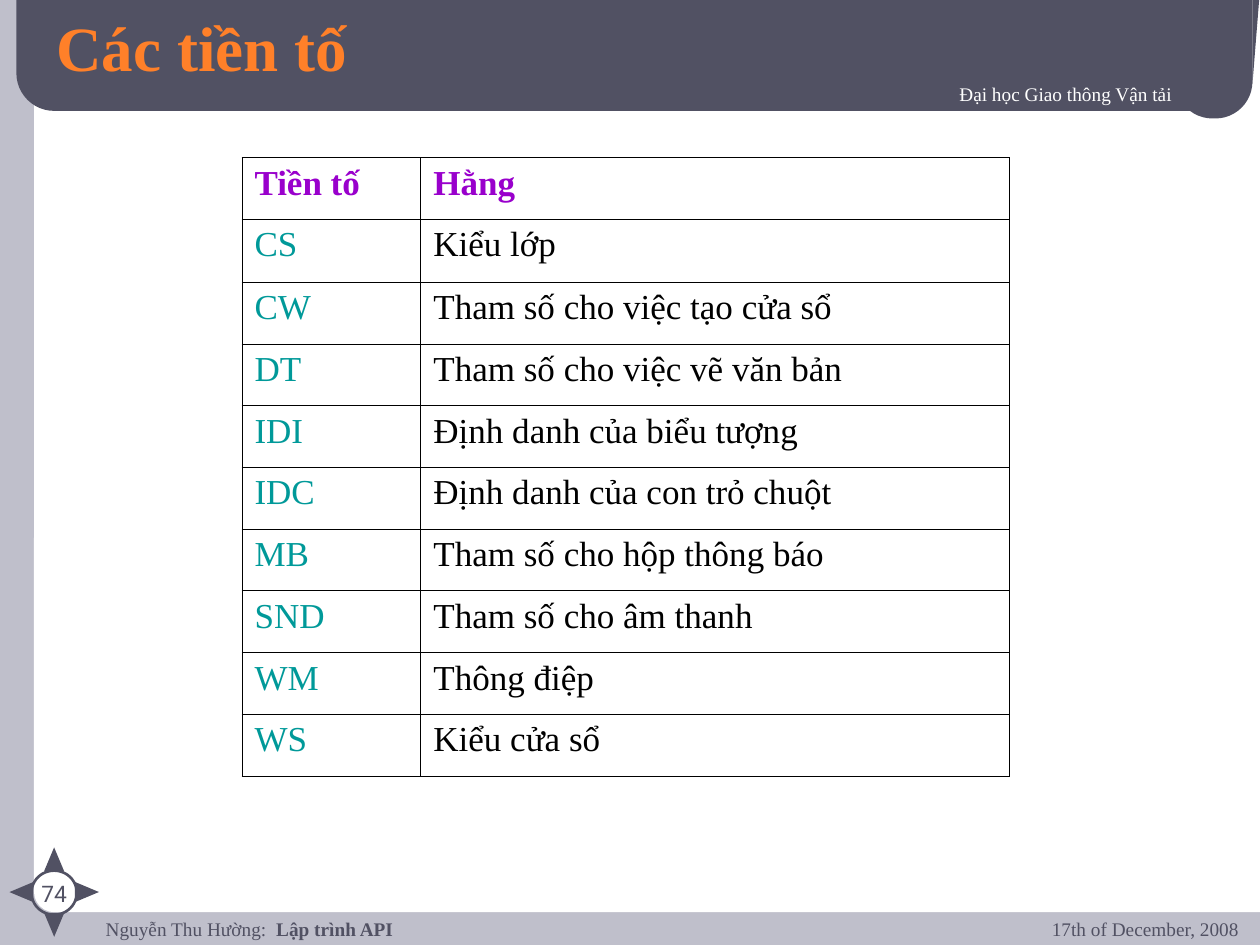
from dataclasses import dataclass

from lxml import etree
from pptx import Presentation
from pptx.dml.color import RGBColor
from pptx.enum.shapes import MSO_SHAPE
from pptx.enum.text import MSO_ANCHOR, PP_ALIGN
from pptx.oxml.ns import qn
from pptx.util import Inches, Pt

ROUNDED = MSO_SHAPE.ROUNDED_RECTANGLE
RIGHT_TRIANGLE = MSO_SHAPE.RIGHT_TRIANGLE
TRIANGLE = MSO_SHAPE.ISOSCELES_TRIANGLE
OVAL = MSO_SHAPE.OVAL
LEFT, CENTER, RIGHT = PP_ALIGN.LEFT, PP_ALIGN.CENTER, PP_ALIGN.RIGHT
TOP, MIDDLE = MSO_ANCHOR.TOP, MSO_ANCHOR.MIDDLE


@dataclass(frozen=True)
class Theme:
    serif: str = "Times New Roman"
    sans: str = "Roboto"
    backdrop: str = "BFBFCB"
    panel: str = "FFFFFF"
    dark: str = "515163"
    light: str = "FFFFFF"
    accent: str = "FF8029"
    heading: str = "9900CC"
    prefix: str = "009999"
    ink: str = "000000"
    title_size: float = 36
    table_size: float = 20
    number_size: float = 13
    small_size: float = 11
    ring_width: float = 1.5
    border_width: float = 0.45


THEME = Theme()

ROWS = [
    ("Tiền tố", "Hằng"),
    ("CS", "Kiểu lớp"),
    ("CW", "Tham số cho việc tạo cửa sổ"),
    ("DT", "Tham số cho việc vẽ văn bản"),
    ("IDI", "Định danh của biểu tượng"),
    ("IDC", "Định danh của con trỏ chuột"),
    ("MB", "Tham số cho hộp thông báo"),
    ("SND", "Tham số cho âm thanh"),
    ("WM", "Thông điệp"),
    ("WS", "Kiểu cửa sổ"),
]


def rgb(value):
    return RGBColor.from_string(value)


def inches(values):
    return [Inches(value) for value in values]


def add_solid(page, kind, place, color, corner=None, turn=0):
    """A filled preset shape without outline."""
    shape = page.shapes.add_shape(kind, *inches(place))
    shape.shadow.inherit = False
    shape.fill.solid()
    shape.fill.fore_color.rgb = rgb(color)
    shape.line.fill.background()
    shape.rotation = turn
    if corner is not None:
        shape.adjustments[0] = corner
    return shape


def add_text_shadow(span):
    """A small dark shadow below and to the right of the letters."""
    effects = etree.SubElement(span.font._element, qn("a:effectLst"))
    shadow = etree.SubElement(effects, qn("a:outerShdw"), dist="17961", dir="2700000")
    etree.SubElement(shadow, qn("a:srgbClr"), val=THEME.ink)
    # Effects must stand directly after the fill
    span.font._element.find(qn("a:solidFill")).addnext(effects)


def add_span(para, text, color, shadow=False, **format_values):
    span = para.add_run()
    span.text = text
    span.font.color.rgb = rgb(color)
    values = {"name": THEME.serif, "size": THEME.small_size, "bold": False}
    values.update(format_values)
    values["size"] = Pt(values["size"])
    for name, value in values.items():
        setattr(span.font, name, value)
    if shadow:
        add_text_shadow(span)


def add_text(page, place, align=LEFT, anchor=TOP, margin=0.05):
    """An empty text box; returns its paragraph."""
    frame = page.shapes.add_textbox(*inches(place)).text_frame
    values = {
        "word_wrap": True,
        "vertical_anchor": anchor,
        "margin_top": Inches(margin),
        "margin_bottom": Inches(margin),
    }
    for name, value in values.items():
        setattr(frame, name, value)
    para = frame.paragraphs[0]
    para.alignment = align
    return para


def add_borders(cell):
    properties = cell._tc.get_or_add_tcPr()
    for position, side in enumerate(("lnL", "lnR", "lnT", "lnB")):
        line = etree.Element(qn(f"a:{side}"), w=str(Pt(THEME.border_width)))
        fill = etree.SubElement(line, qn("a:solidFill"))
        etree.SubElement(fill, qn("a:srgbClr"), val=THEME.ink)
        properties.insert(position, line)


def add_prefix_table(page):
    frame = page.shapes.add_table(len(ROWS), 2, *inches((1.92, 1.25, 6.09, 4.93)))
    table = frame.table
    table.first_row = table.horz_banding = False
    for column, width in zip(table.columns, (1.42, 4.67)):
        column.width = Inches(width)
    for index, texts in enumerate(ROWS):
        header = index == 0
        table.rows[index].height = Inches(0.5 if index == 1 else 0.49)
        colors = (THEME.heading,) * 2 if header else (THEME.prefix, THEME.ink)
        for cell, text, color in zip(table.rows[index].cells, texts, colors):
            cell.fill.background()
            add_borders(cell)
            para = cell.text_frame.paragraphs[0]
            add_span(para, text, color, size=THEME.table_size, bold=header)


def add_background(page):
    page.background.fill.solid()
    page.background.fill.fore_color.rgb = rgb(THEME.backdrop)
    add_solid(page, ROUNDED, (0.27, -0.13, 10.01, 7.37), THEME.panel, 0.022)
    # Header band with its drop and slanted right edge
    add_solid(page, ROUNDED, (0.13, -0.36, 9.81, 1.24), THEME.dark, 0.242)
    add_solid(page, ROUNDED, (9.33, 0.29, 0.61, 0.65), THEME.dark, 0.48)
    edge = add_solid(page, RIGHT_TRIANGLE, (9.94, -0.08, 0.06, 0.75), THEME.dark, turn=180)
    edge._element.spPr.find(qn("a:xfrm")).set("flipH", "1")


def add_page_number(page):
    """The number in a ring with four compass points."""
    para = add_text(page, (0.14, 6.93, 0.58, 0.22), CENTER)
    add_span(para, "74", THEME.dark, name=THEME.sans, size=THEME.number_size)
    ring = page.shapes.add_shape(OVAL, *inches((0.25, 6.91, 0.36, 0.35)))
    ring.shadow.inherit = False
    ring.fill.background()
    ring.line.color.rgb = rgb(THEME.dark)
    ring.line.width = Pt(THEME.ring_width)
    center_x, center_y, reach = 0.43, 7.08, 0.26
    width, height = 0.16, 0.19
    for turn, across, down in ((90, 1, 0), (270, -1, 0), (0, 0, -1), (180, 0, 1)):
        left = center_x + across * reach - width / 2
        top = center_y + down * reach - height / 2
        add_solid(page, TRIANGLE, (left, top, width, height), THEME.dark, turn=turn)


def add_labels(page):
    author = add_text(page, (0.74, 7.28, 7.74, 0.33), margin=0)
    add_span(author, "Nguyễn Thu Hường:  ", THEME.dark)
    add_span(author, "Lập trình API", THEME.dark, bold=True)
    school = add_text(page, (3.03, 0.6, 6.37, 0.38), RIGHT)
    add_span(school, "Đại học Giao thông Vận tải", THEME.light, shadow=True)
    date = add_text(page, (7.52, 7.23, 2.41, 0.42), RIGHT)
    add_span(date, "17th of December, 2008", THEME.dark)
    title = add_text(page, (0.35, 0.08, 8.36, 0.57), anchor=MIDDLE)
    add_span(title, "Các tiền tố", THEME.accent, shadow=True, size=THEME.title_size, bold=True)


def main():
    deck = Presentation()
    deck.slide_width, deck.slide_height = Inches(10), Inches(7.5)
    page = deck.slides.add_slide(deck.slide_layouts[6])
    add_background(page)
    add_page_number(page)
    add_labels(page)
    add_prefix_table(page)
    deck.save("out.pptx")


if __name__ == "__main__":
    main()
